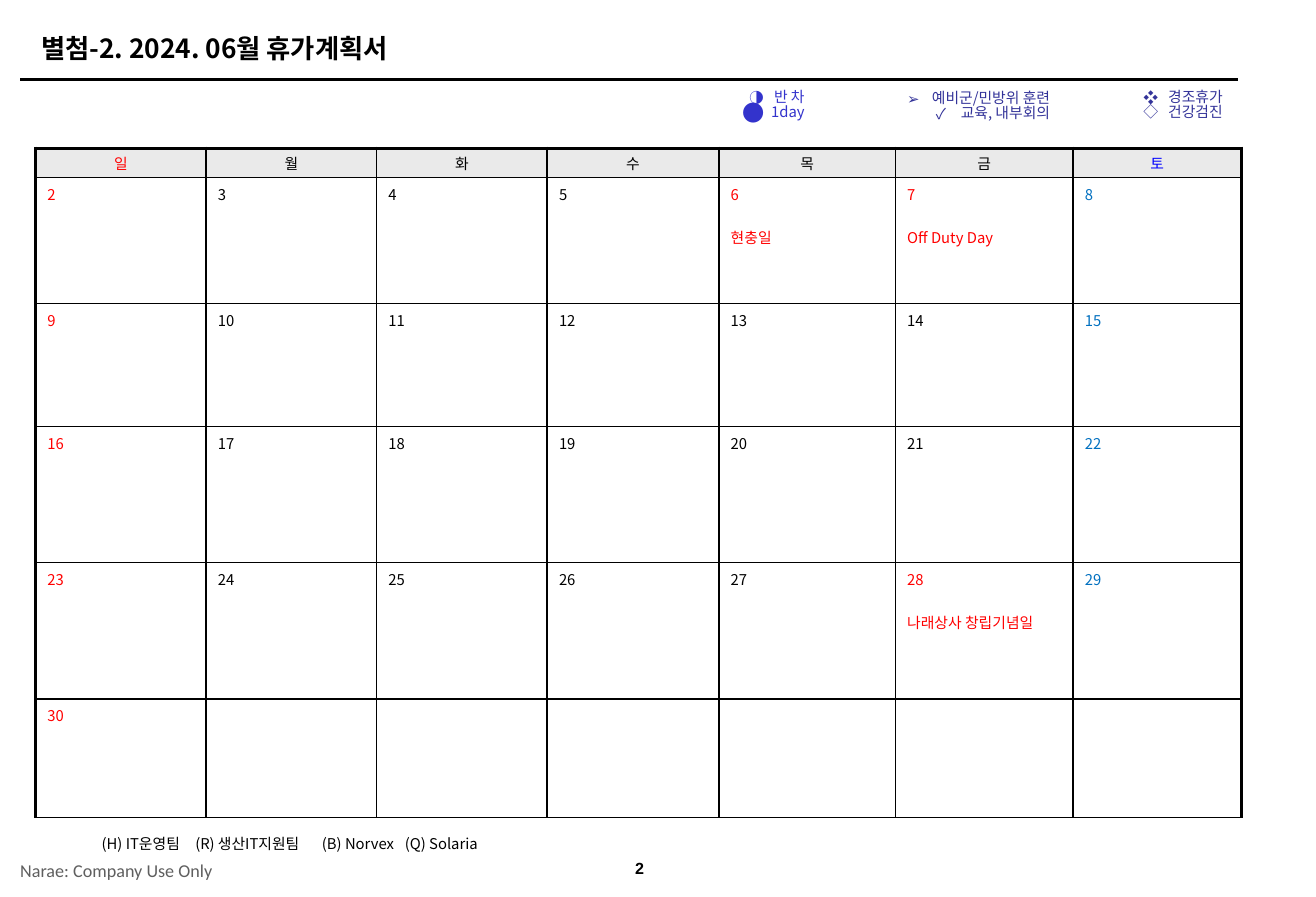
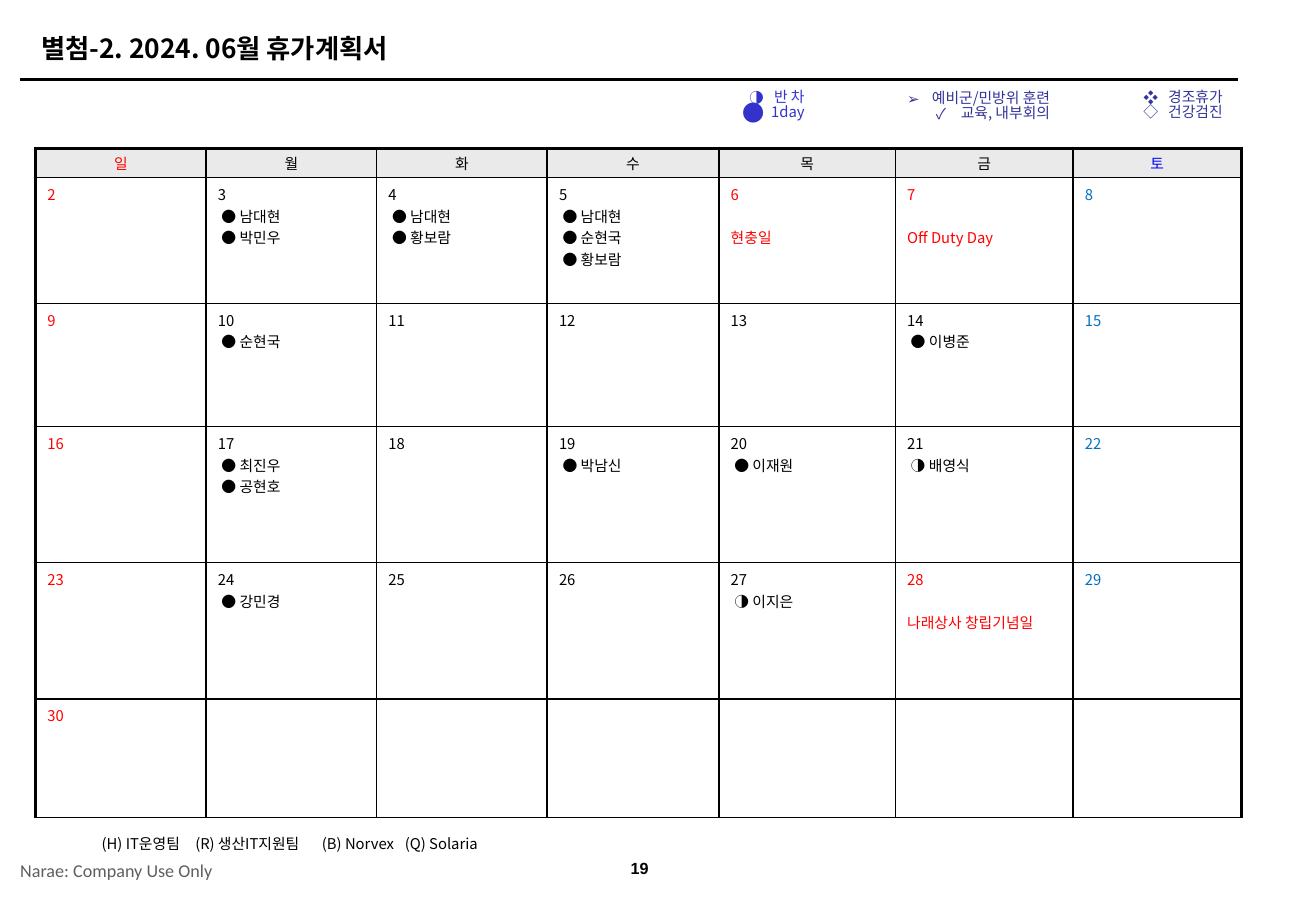
from lxml import etree
from pptx import Presentation
from pptx.dml.color import RGBColor
from pptx.enum.shapes import MSO_CONNECTOR
from pptx.enum.text import MSO_ANCHOR, PP_ALIGN
from pptx.oxml.ns import qn
from pptx.util import Inches, Pt

LEFT, CENTER, RIGHT = PP_ALIGN.LEFT, PP_ALIGN.CENTER, PP_ALIGN.RIGHT
TOP, MIDDLE = MSO_ANCHOR.TOP, MSO_ANCHOR.MIDDLE
STRAIGHT = MSO_CONNECTOR.STRAIGHT

COLORS = {
    "black": "000000",
    "red": "FF0000",
    "saturday": "0070C0",
    "saturday_head": "0000FF",
    "head_fill": "EAEAEA",
    "leave": "3333CC",
    "event": "333399",
    "gray": "5F5F5F",
}
KOREAN = "Noto Sans CJK KR"
GRID = 100
BODY = {"size": Pt(9), "name": KOREAN}
TITLE = {"size": Pt(16), "name": KOREAN, "bold": True}
PAGE = {"size": Pt(9.8), "name": "Arial", "bold": True}
FOOTER = {"size": Pt(11), "name": "Calibri"}

WEEKDAYS = "일월화수목금토"
COLUMNS = [12.96, 12.96, 12.96, 13.05, 13.41, 13.5, 12.78]
ROWS = [3.3, 14, 13.74, 15.19, 15.19, 13.21]
FIRST_DAY, LAST_DAY = 2, 30
HOLIDAYS = {6: "현충일", 7: "Off Duty Day", 28: "나래상사 창립기념일"}
LEAVES = {
    3: ["● 남대현", "● 박민우"],
    4: ["● 남대현", "● 황보람"],
    5: ["● 남대현", "● 순현국", "● 황보람"],
    10: ["● 순현국"],
    14: ["● 이병준"],
    17: ["● 최진우", "● 공현호"],
    19: ["● 박남신"],
    20: ["● 이재원"],
    21: ["◑ 배영식"],
    24: ["● 강민경"],
    27: ["◑ 이지은"],
}
LEGENDS = [
    ((50, 9.51, 12.02, 5.28), "leave", [("◑", "반 차", 100), ("●", " 1day", 150)]),
    ((66.7, 9.64, 14.22, 5.15), "event",
     [("➢", "예비군/민방위 훈련 ", 100), ("✓", "교육, 내부회의 ", 100)]),
    ((77.32, 9.51, 16.47, 5.15), "event",
     [("❖", "경조휴가", 100), ("◇", "건강검진", 100)]),
]
TEAMS = "(H) IT운영팀\t(R) 생산IT지원팀\t(B) Norvex\t(Q) Solaria"
TEAM_TABS = [0.79, 1.86, 2.56]


def apply(target, values):
    for name, value in values.items():
        setattr(target, name, value)


def add_xml(parent, tag, **attrs):
    return etree.SubElement(parent, qn(tag), attrs)


class Deck:
    def __init__(self, width, height):
        self.prs = Presentation()
        self.prs.slide_width = Inches(width)
        self.prs.slide_height = Inches(height)
        self.slide = None

    def x(self, columns):
        return round(self.prs.slide_width * columns / GRID)

    def y(self, rows):
        return round(self.prs.slide_height * rows / GRID)

    def box(self, left, top, width, height):
        return self.x(left), self.y(top), self.x(width), self.y(height)

    def new_slide(self):
        self.slide = self.prs.slides.add_slide(self.prs.slide_layouts[6])

    def run(self, p, text, style, color):
        r = p.add_run()
        r.text = text
        apply(r.font, style)
        r.font.color.rgb = RGBColor.from_string(COLORS[color])
        add_xml(r.font._element, "a:ea", typeface=style["name"])

    def frame(self, at, anchor=TOP, margin=0.1):
        tf = self.slide.shapes.add_textbox(*self.box(*at)).text_frame
        apply(tf, {
            "word_wrap": True, "vertical_anchor": anchor,
            "margin_left": Inches(margin), "margin_right": Inches(margin),
        })
        return tf

    def text(self, at, text, style, color="black", align=LEFT, margin=0.1, tabs=()):
        p = self.frame(at, MIDDLE, margin).paragraphs[0]
        p.alignment = align
        if tabs:
            stops = add_xml(p._p.get_or_add_pPr(), "a:tabLst")
            for stop in tabs:
                add_xml(stops, "a:tab", pos=str(Inches(stop)), algn="l")
        self.run(p, text, style, color)

    def legend(self, at, color, items):
        tf = self.frame(at)
        for i, (mark, label, scale) in enumerate(items):
            p = tf.add_paragraph() if i else tf.paragraphs[0]
            pPr = p._p.get_or_add_pPr()
            pPr.set("marL", str(Inches(0.21)))
            pPr.set("indent", str(-Inches(0.21)))
            add_xml(add_xml(pPr, "a:buClr"), "a:srgbClr", val=COLORS[color])
            add_xml(pPr, "a:buSzPct", val=str(scale * 1000))
            add_xml(pPr, "a:buFont", typeface=KOREAN)
            add_xml(pPr, "a:buChar", char=mark)
            apply(p, {"alignment": RIGHT, "line_spacing": 0.82})
            self.run(p, label, BODY, color)

    def rule(self, left, right, top):
        s = self.slide.shapes.add_connector(
            STRAIGHT, self.x(left), self.y(top), self.x(right), self.y(top))
        s.line.width = Pt(1.5)
        s.line.color.rgb = RGBColor.from_string(COLORS["black"])
        add_xml(s._element.spPr, "a:effectLst")

    def borders(self, cell, widths):
        tcPr = cell._tc.get_or_add_tcPr()
        for side, width in zip("LRTB", widths):
            ln = add_xml(tcPr, "a:ln" + side, w=str(Pt(width)))
            add_xml(add_xml(ln, "a:solidFill"), "a:srgbClr", val=COLORS["black"])

    def day(self, cell, day, color, leaves):
        tf = cell.text_frame
        self.run(tf.paragraphs[0], str(day), BODY, color)
        if day in HOLIDAYS:
            p = tf.add_paragraph()
            p.space_before = Pt(13)
            self.run(p, HOLIDAYS[day], BODY, color)
        for entry in leaves.get(day, []):
            p = tf.add_paragraph()
            p._p.get_or_add_pPr().set("marL", str(Inches(0.03)))
            self.run(p, entry, BODY, color)

    def calendar(self, left, top, leaves):
        at = self.box(left, top, sum(COLUMNS), sum(ROWS))
        table = self.slide.shapes.add_table(len(ROWS), len(COLUMNS), *at).table
        apply(table, {"first_row": False, "horz_banding": False})
        for column, width in zip(table.columns, COLUMNS):
            column.width = self.x(width)
        last = len(COLUMNS) - 1
        for r, height in enumerate(ROWS):
            table.rows[r].height = self.y(height)
            for c, weekday in enumerate(WEEKDAYS):
                cell = table.cell(r, c)
                self.borders(cell, (2 if c == 0 else 1, 2 if c == last else 1,
                                    2 if r == 0 else 1, 1))
                if r == 0:
                    cell.fill.solid()
                    cell.fill.fore_color.rgb = RGBColor.from_string(COLORS["head_fill"])
                    apply(cell, {"vertical_anchor": MIDDLE,
                                 "margin_top": Inches(0.03), "margin_bottom": Inches(0.03)})
                    p = cell.text_frame.paragraphs[0]
                    p.alignment = CENTER
                    color = {0: "red", last: "saturday_head"}.get(c, "black")
                    self.run(p, weekday, BODY, color)
                    continue
                cell.fill.background()
                day = FIRST_DAY + (r - 1) * len(COLUMNS) + c
                if day <= LAST_DAY:
                    color = {0: "red", last: "saturday"}.get(c, "black")
                    self.day(cell, day, "red" if day in HOLIDAYS else color, leaves)

    def leave_plan(self, number, leaves):
        self.new_slide()
        self.rule(1.53, 94.06, 8.85)
        self.text((46.17, 94.72, 4.86, 4.1), str(number), PAGE, align=CENTER)
        self.text((1.53, 94.98, 17, 4.1), "Narae: Company Use Only", FOOTER, "gray", margin=0)
        self.calendar(2.7, 16.51, leaves)
        self.text((2.25, 2.91, 89.11, 4.89), "별첨-2. 2024. 06월 휴가계획서", TITLE)
        for at, color, items in LEGENDS:
            self.legend(at, color, items)
        self.text((6.84, 92.47, 34, 3.17), TEAMS, BODY, tabs=TEAM_TABS)


def main():
    deck = Deck(11.11, 7.57)
    for number, leaves in ((2, {}), (19, LEAVES)):
        deck.leave_plan(number, leaves)
    deck.prs.save("out.pptx")


if __name__ == "__main__":
    main()
